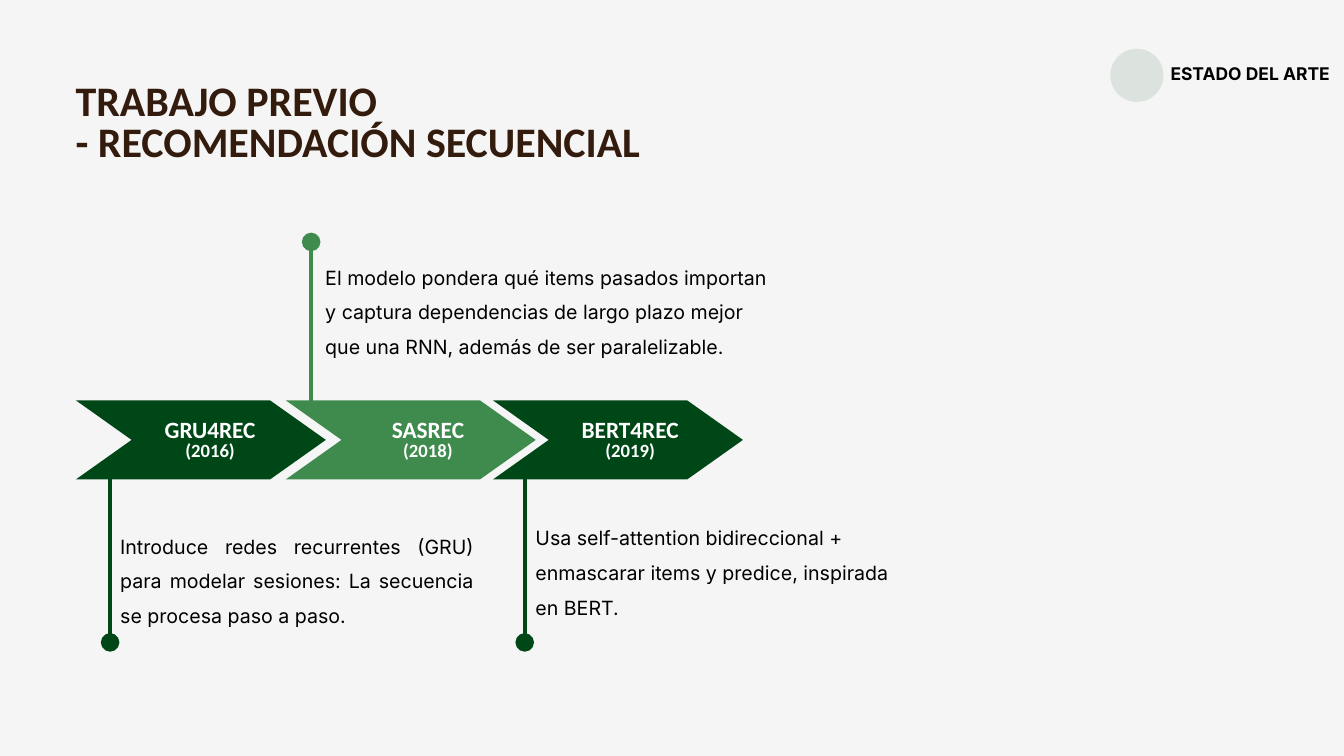
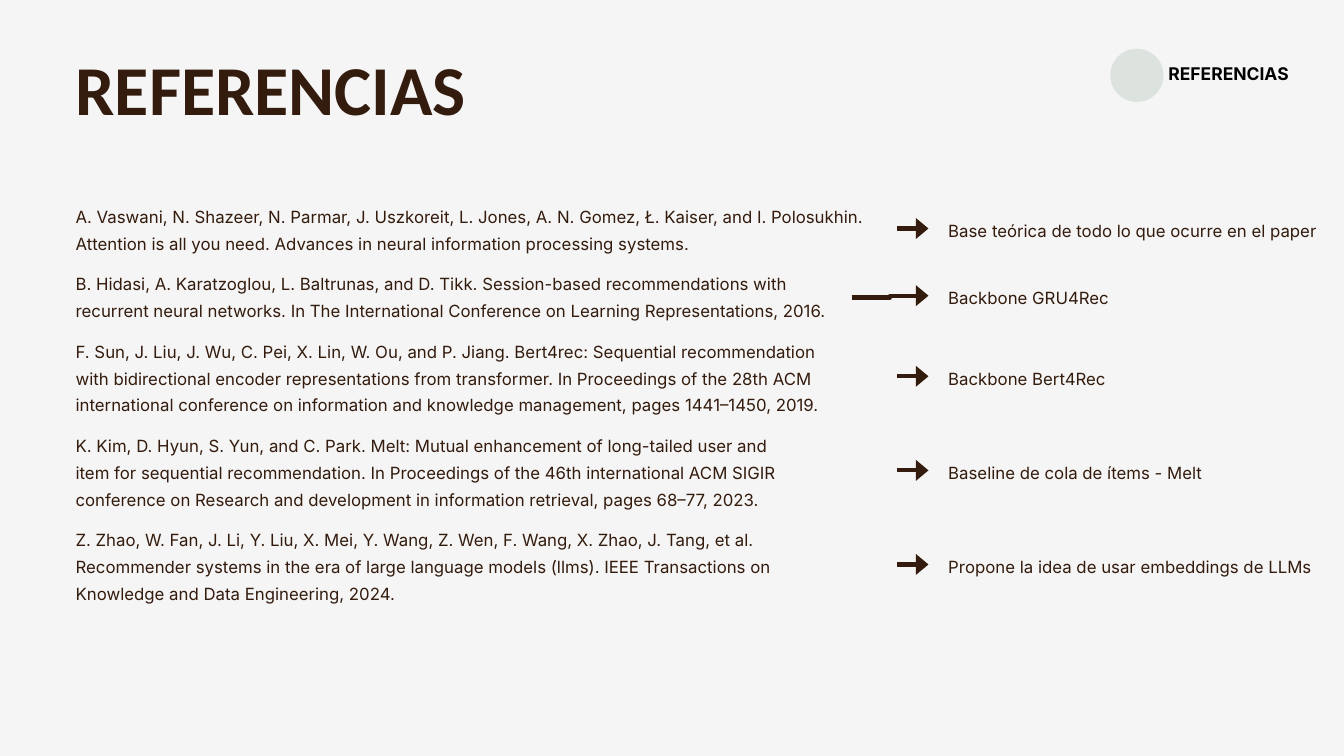
from pptx import Presentation
from pptx.dml.color import RGBColor
from pptx.enum.shapes import MSO_CONNECTOR as Link, MSO_SHAPE as Shape
from pptx.enum.text import MSO_ANCHOR as Anchor, MSO_AUTO_SIZE as Fit, PP_ALIGN as Align
from pptx.oxml.ns import qn
from pptx.util import Pt
from lxml.etree import SubElement

PAPER = RGBColor(0xF5, 0xF5, 0xF5)
DARK = RGBColor(0x00, 0x47, 0x17)
LIGHT = RGBColor(0x3F, 0x8B, 0x4E)
BROWN = RGBColor(0x33, 0x1B, 0x0D)
BLACK = RGBColor(0, 0, 0)
WHITE = RGBColor(0xFF, 0xFF, 0xFF)
HEAD, BODY = "Calibri", "Inter"
LEFT = 81  # left margin of every slide
REF_LINE, REF_GAP = 28.8, 14.4

# chevron left, label centre, stem and note offsets, stem ends, note box, colour, texts
STEPS = [
    dict(x=81.3, mid=143.8, stem=36.7, ends=(504.7, 688.3),
         note=(10.8, 561, 378.7), align=Align.JUSTIFY, color=DARK,
         name="GRU4REC", year="(2016)",
         words="Introduce redes recurrentes (GRU) para modelar sesiones: "
               "La secuencia se procesa paso a paso."),
    dict(x=306.2, mid=152.3, stem=27.2, ends=(432, 259.2),
         note=(15.1, 273, 477.4), align=Align.LEFT, color=LIGHT,
         name="SASREC", year="(2018)",
         words="El modelo pondera qué items pasados importan y captura dependencias "
               "de largo plazo mejor que una RNN, además de ser paralelizable."),
    dict(x=528.2, mid=147, stem=34, ends=(504.7, 688.3),
         note=(11.5, 552.2, 378.7), align=Align.LEFT, color=DARK,
         name="BERT4REC", year="(2019)",
         words="Usa self-attention bidireccional + enmascarar items y predice, "
               "inspirada en BERT."),
]

# paragraphs, lines they fill, remark, arrow start, rise of the arrow
REFS = [
    (["A. Vaswani, N. Shazeer, N. Parmar, J. Uszkoreit, L. Jones, A. N. Gomez, "
      "Ł. Kaiser, and I. Polosukhin. Attention is all you need. "
      "Advances in neural information processing systems."],
     2, "Base teórica de todo lo que ocurre en el paper", 961.4, 0),
    (["B. Hidasi, A. Karatzoglou, L. Baltrunas, and D. Tikk. "
      "Session-based recommendations with",
      "recurrent neural networks. In The International Conference on "
      "Learning Representations, 2016."],
     2, "Backbone GRU4Rec", 912.4, 2),
    (["F. Sun, J. Liu, J. Wu, C. Pei, X. Lin, W. Ou, and P. Jiang. "
      "Bert4rec: Sequential recommendation",
      "with bidirectional encoder representations from transformer. "
      "In Proceedings of the 28th ACM",
      "international conference on information and knowledge management, "
      "pages 1441–1450, 2019."],
     3, "Backbone Bert4Rec", 961.4, 0),
    (["K. Kim, D. Hyun, S. Yun, and C. Park. "
      "Melt: Mutual enhancement of long-tailed user and",
      "item for sequential recommendation. "
      "In Proceedings of the 46th international ACM SIGIR",
      "conference on Research and development in information retrieval, "
      "pages 68–77, 2023."],
     3, "Baseline de cola de ítems - Melt", 961.4, 0),
    (["Z. Zhao, W. Fan, J. Li, Y. Liu, X. Mei, Y. Wang, Z. Wen, F. Wang, "
      "X. Zhao, J. Tang, et al.",
      "Recommender systems in the era of large language models (llms). "
      "IEEE Transactions on",
      "Knowledge and Data Engineering, 2024."],
     3, "Propone la idea de usar embeddings de LLMs", 961.4, 0),
]


def write(shape, lines, size, font=BODY, color=BLACK, bold=False,
          align=Align.LEFT, lead=None):
    """Fill a shape with one paragraph per line; size and lead may be lists."""
    frame = shape.text_frame
    frame.word_wrap, frame.auto_size = True, Fit.NONE
    frame.vertical_anchor = Anchor.TOP
    frame.margin_left = frame.margin_right = frame.margin_top = frame.margin_bottom = 0
    sizes = size if isinstance(size, list) else [size] * len(lines)
    leads = lead if isinstance(lead, list) else [lead] * len(lines)
    for i, (line, pts, gap) in enumerate(zip(lines, sizes, leads)):
        par = frame.paragraphs[0] if i == 0 else frame.add_paragraph()
        par.alignment, par.line_spacing = align, Pt(gap)
        par.space_before = par.space_after = Pt(0)
        run = par.add_run()
        run.text = line
        run.font.name, run.font.size, run.font.bold = font, Pt(pts), bold
        run.font.color.rgb = color


def text(slide, x, y, w, h, lines, size, **form):
    box = slide.shapes.add_textbox(Pt(x), Pt(y), Pt(w), Pt(h))
    write(box, lines, size, **form)


def solid(slide, kind, x, y, w, h, color):
    shape = slide.shapes.add_shape(kind, Pt(x), Pt(y), Pt(w), Pt(h))
    shape.shadow.inherit = False
    shape.fill.solid()
    shape.fill.fore_color.rgb = color
    shape.line.fill.background()
    return shape


def line(slide, x, y, x2, y2, color, width, tip, length, kind=Link.STRAIGHT):
    """Draw a connector with a wide tip at its far end."""
    link = slide.shapes.add_connector(kind, Pt(x), Pt(y), Pt(x2), Pt(y2))
    link.line.color.rgb, link.line.width = color, Pt(width)
    SubElement(link.line._get_or_add_ln(), qn("a:tailEnd"),
               type=tip, w="lg", len=length)
    SubElement(link._element.spPr, qn("a:effectLst"))


def base(deck, title, box, size, tag, tag_x, tag_w):
    """Add a slide with its title and its section tag."""
    slide = deck.slides.add_slide(deck.slide_layouts[5])
    head = slide.shapes.title
    head.left, head.top, head.width, head.height = map(Pt, box)
    write(head, title, size, font=HEAD, color=BROWN, bold=True, lead=size * 0.98)
    dot = solid(slide, Shape.OVAL, 1189.6, 52.2, 57, 57, DARK)
    tint = dot._element.spPr.find(qn("a:solidFill"))[0]
    SubElement(tint, qn("a:alpha"), val="10000")
    text(slide, tag_x, 71.2, tag_w, 20, [tag], 18.7, bold=True,
         align=Align.RIGHT, lead=18.7)
    return slide


def step(slide, x, mid, stem, ends, note, align, color, name, year, words):
    """Place one chevron at x with its label, stem and note."""
    arrow = solid(slide, Shape.CHEVRON, x, 429, 267.8, 84.7, color)
    arrow.adjustments[0] = 0.705
    text(slide, x + mid - 66, 450, 132, 45, [name, year], [25, 20], font=HEAD,
         color=WHITE, bold=True, align=Align.CENTER, lead=[24.5, 19.6])
    gap, top, width = note
    text(slide, x + stem + gap, top, width, 105, [words], 21, align=align, lead=37)
    line(slide, x + stem, ends[0], x + stem, ends[1], color, 4, "oval", "lg")


def entry(slide, top, lines, count, remark, start, rise):
    """Place one reference, its arrow and its remark; return the next top."""
    form = dict(color=BROWN, lead=REF_LINE)
    high = count * REF_LINE
    mid = top + high / 2 + 1.4
    text(slide, LEFT, top, 847.4, high - 3, lines, 18, **form)
    line(slide, start, mid + rise, 994.8, mid, BROWN, 4.5, "triangle", "med",
         Link.ELBOW if rise else Link.STRAIGHT)
    text(slide, 1016, mid - 15.8, 404, 26.6, [remark], 18, **form)
    return top + high + REF_GAP


def main():
    deck = Presentation()
    deck.slide_width, deck.slide_height = Pt(1440), Pt(810)
    back = deck.slide_master.background.fill
    back.solid()
    back.fore_color.rgb = PAPER

    work = base(deck, ["TRABAJO PREVIO", "- RECOMENDACIÓN SECUENCIAL"],
                (LEFT, 90, 754, 89), 45, "ESTADO DEL ARTE", 1231.2, 193.7)
    for item in STEPS:
        step(work, **item)

    refs = base(deck, ["REFERENCIAS"], (LEFT, 65, 639, 77), 75,
                "REFERENCIAS", 1218.2, 162.7)
    top = 214.6
    for item in REFS:
        top = entry(refs, top, *item)
    deck.save("out.pptx")


if __name__ == "__main__":
    main()
